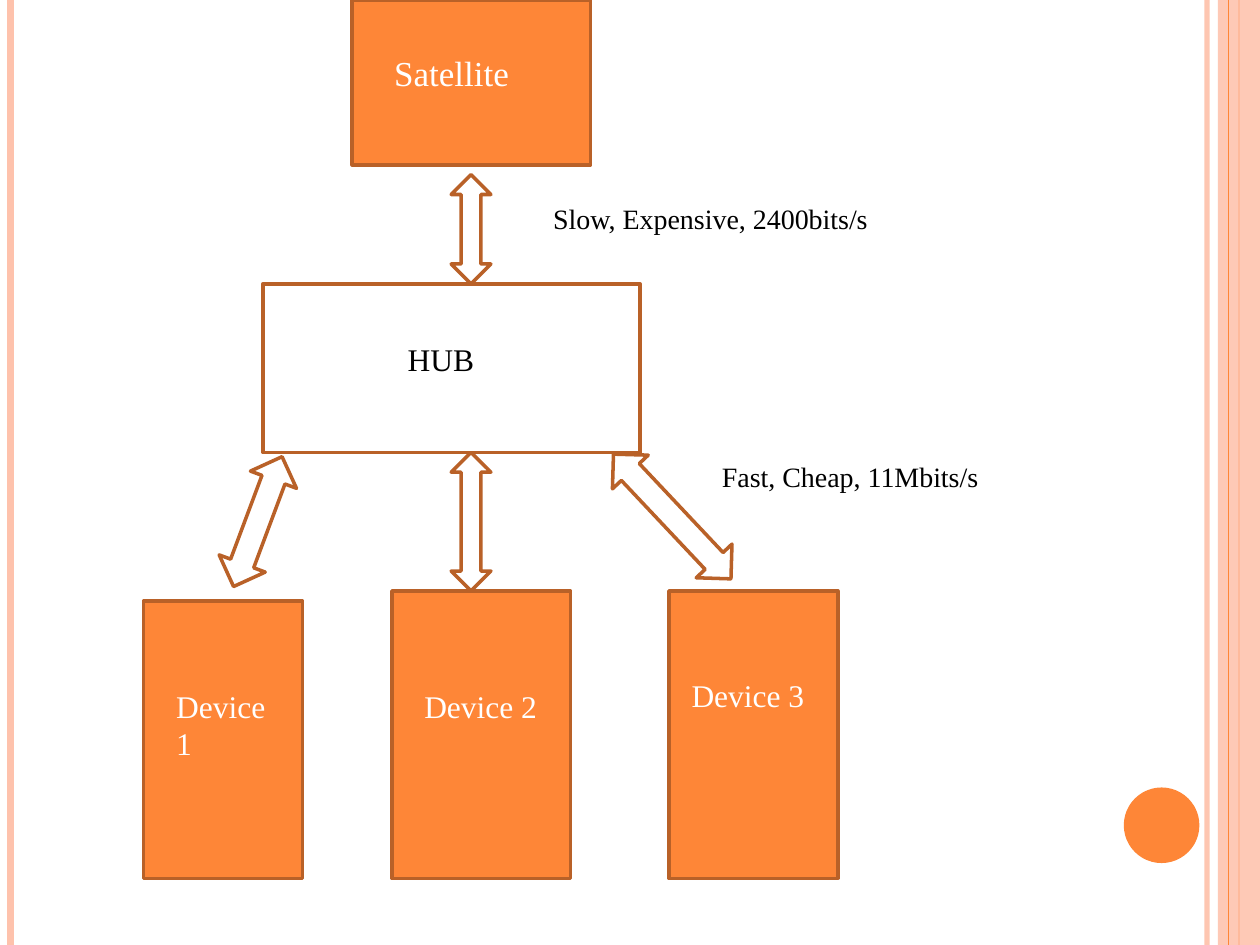
from lxml.etree import SubElement
from pptx import Presentation
from pptx.dml.color import RGBColor
from pptx.enum.shapes import MSO_CONNECTOR as Connector, MSO_SHAPE as Shape
from pptx.enum.text import PP_ALIGN as Align
from pptx.oxml.ns import qn
from pptx.util import Pt

COLORS = {
    "orange": "FE8637",
    "peach": "FEC2AC",
    "outline": "B96128",
    "white": "FFFFFF",
    "black": "000000",
}
FONT = "Times New Roman"
WIDTH, HEIGHT = 720, 540


def color(name):
    return RGBColor.from_string(COLORS[name])


def set_opacity(element, percent):
    for tint in element.iter(qn("a:srgbClr")):
        SubElement(tint, qn("a:alpha"), val=str(percent * 1000))


def add_stripe(page, x, weight, name, opacity=None):
    stripe = page.shapes.add_connector(Connector.STRAIGHT, Pt(x), Pt(0), Pt(x), Pt(HEIGHT))
    stripe.line.color.rgb = color(name)
    stripe.line.width = Pt(weight)
    properties = stripe._element.spPr
    SubElement(properties, qn("a:effectLst"))
    if opacity:
        set_opacity(properties, opacity)


def add_block(page, kind, bounds, fill=None, outline=None, rotation=0):
    block = page.shapes.add_shape(kind, *map(Pt, bounds))
    block.shadow.inherit = False
    block.rotation = rotation
    if fill:
        block.fill.solid()
        block.fill.fore_color.rgb = color(fill)
    else:
        block.fill.background()
    if outline:
        block.line.color.rgb = color(outline)
        block.line.width = Pt(2)
    else:
        block.line.fill.background()
    return block


def add_text(page, text, bounds, size=18, ink="black", align=Align.LEFT):
    box = page.shapes.add_textbox(*map(Pt, bounds))
    box.text_frame.word_wrap = True
    para = box.text_frame.paragraphs[0]
    para.alignment = align
    span = para.add_run()
    span.text = text
    span.font.name = FONT
    span.font.size = Pt(size)
    span.font.color.rgb = color(ink)


def add_border(page):
    add_stripe(page, 689.8, 3, "peach", opacity=93)
    add_stripe(page, 6, 4.5, "peach")
    add_stripe(page, 708, 1.5, "orange")
    band = add_block(page, Shape.RECTANGLE, (696, 0, WIDTH - 696, HEIGHT), fill="peach")
    set_opacity(band._element.spPr, 87)
    add_stripe(page, 702, 0.75, "orange")
    add_block(page, Shape.OVAL, (642.2, 450, 43.2, 43.2), fill="orange")


def add_devices(page):
    bottom = 502
    devices = [
        (82, 343.5, 91, 93.6, 388.8, 73.4),
        (224, 337.7, 102, 235.4, 388.8, 79.2),
        (382.3, 337.7, 96.5, 388.1, 383, 79.2),
    ]
    for number, (left, top, width, text_left, text_top, text_width) in enumerate(devices, 1):
        add_block(page, Shape.RECTANGLE, (left, top, width, bottom - top),
                  fill="orange", outline="outline")
        add_text(page, f"Device {number}", (text_left, text_top, text_width, 51), ink="white")


def add_hub_and_satellite(page):
    add_block(page, Shape.RECTANGLE, (150.2, 162.2, 215.6, 96.4), outline="outline")
    add_text(page, "HUB", (167, 190.8, 170, 29), align=Align.CENTER)
    add_block(page, Shape.RECTANGLE, (201.3, 0, 136.2, 94.3), fill="orange", outline="outline")
    add_text(page, "Satellite", (218.2, 26, 96.5, 31.5), size=20, ink="white")


def add_links(page):
    links = [
        (133.3, 258.5, 28.1, 79.2, 20.5),
        (257.8, 258.5, 22.7, 79.2, 0),
        (370.1, 246.2, 28.1, 97.9, 316.7),
        (257.8, 99.8, 22.7, 62.4, 0),
    ]
    for *bounds, rotation in links:
        add_block(page, Shape.UP_DOWN_ARROW, bounds, outline="outline", rotation=rotation)
    add_text(page, "Slow, Expensive, 2400bits/s", (309, 111.6, 266.4, 26.6), size=16)
    add_text(page, "Fast, Cheap, 11Mbits/s", (405.4, 258.8, 226.8, 26.6), size=16)


def main():
    deck = Presentation()
    deck.slide_width, deck.slide_height = Pt(WIDTH), Pt(HEIGHT)
    page = deck.slides.add_slide(deck.slide_layouts[6])
    page.background.fill.solid()
    page.background.fill.fore_color.rgb = color("white")
    add_border(page)
    add_devices(page)
    add_hub_and_satellite(page)
    add_links(page)
    deck.save("out.pptx")


if __name__ == "__main__":
    main()
